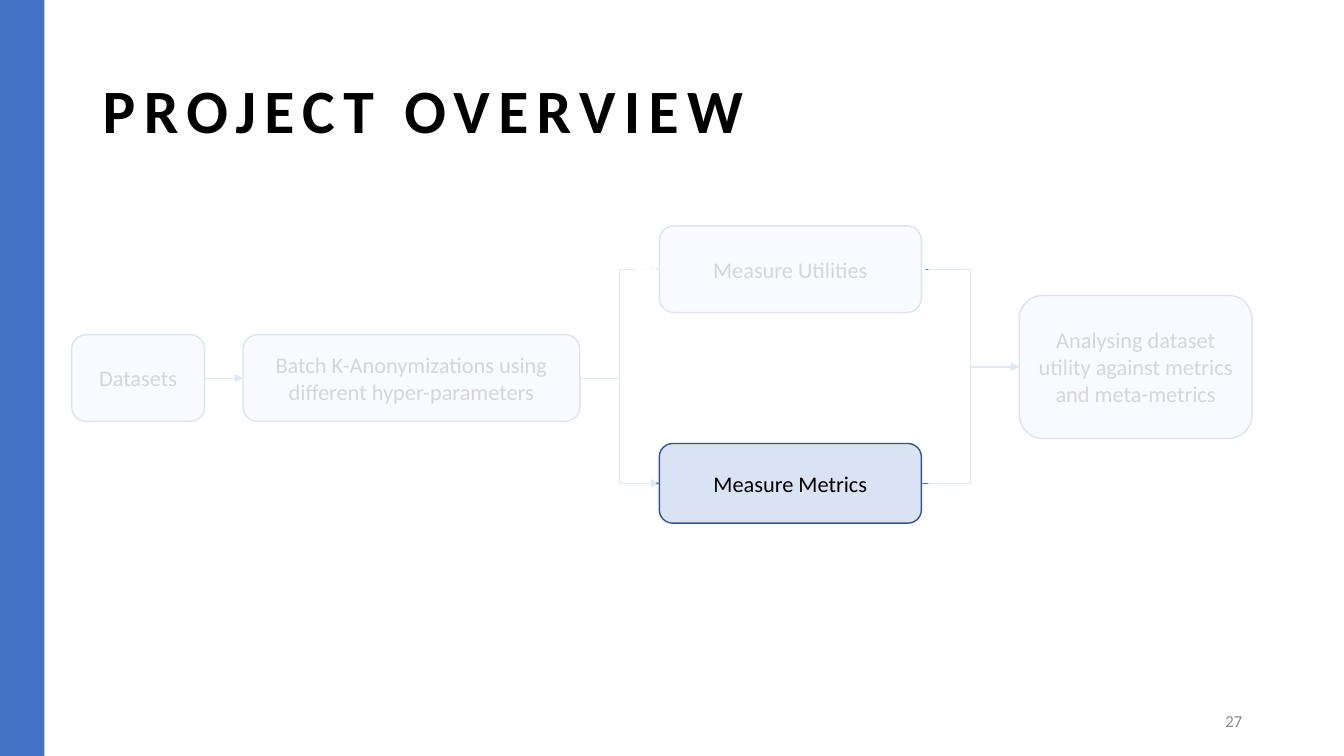
from lxml.etree import SubElement
from pptx import Presentation
from pptx.dml.color import RGBColor
from pptx.enum.shapes import MSO_CONNECTOR, MSO_SHAPE
from pptx.enum.text import MSO_ANCHOR, PP_ALIGN
from pptx.oxml.ns import qn
from pptx.util import Inches, Pt

BLUE = RGBColor(0x44, 0x72, 0xC4)
PALE_BLUE = RGBColor(0xDA, 0xE3, 0xF3)
DARK_BLUE = RGBColor(0x32, 0x54, 0x91)
GREY = RGBColor(0x8C, 0x8C, 0x8C)
BLACK = RGBColor(0, 0, 0)
WHITE = RGBColor(0xFF, 0xFF, 0xFF)

presentation = Presentation()
presentation.slide_width = Inches(13.33)
presentation.slide_height = Inches(7.5)
slide = presentation.slides.add_slide(presentation.slide_layouts[6])
shapes = slide.shapes


def place(left, top, width, height):
    """Turn percentages of the slide's size into lengths."""
    column = presentation.slide_width / 100
    row = presentation.slide_height / 100
    return int(left * column), int(top * row), int(width * column), int(height * row)


def write(shape, text, alignment, font_format):
    frame = shape.text_frame
    frame.word_wrap = True
    frame.vertical_anchor = MSO_ANCHOR.MIDDLE
    paragraph = frame.paragraphs[0]
    paragraph.alignment = alignment
    run = paragraph.add_run()
    run.text = text
    color = font_format["color"]
    for name, value in font_format.items():
        if name != "color":
            setattr(run.font, name, value)
    run.font.color.rgb = color
    return run


# Side bar
bar = shapes.add_shape(MSO_SHAPE.RECTANGLE, *place(0, 0, 3.3, 100))
bar.shadow.inherit = False
bar.fill.solid()
bar.fill.fore_color.rgb = BLUE
bar.line.fill.background()

# Title and slide number
title = shapes.add_textbox(*place(6.9, 5.33, 86.27, 19.33))
title_format = {"name": "Calibri", "size": Pt(44), "bold": True, "color": BLACK}
title_run = write(title, "PROJECT OVERVIEW", PP_ALIGN.LEFT, title_format)
title_run.font._element.set("spc", "600")
title.text_frame.paragraphs[0].line_spacing = 0.9

number = shapes.add_textbox(*place(70.67, 92.67, 22.5, 5.33))
number_format = {"name": "Calibri", "size": Pt(12), "color": GREY}
write(number, "27", PP_ALIGN.RIGHT, number_format)

# Process steps
steps = {
    "Datasets": (5.33, 44.27, 9.9, 11.47),
    "Batch K-Anonymizations using different hyper-parameters": (18.08, 44.27, 25.06, 11.47),
    "Measure Utilities": (49.06, 29.87, 19.5, 11.47),
    "Measure Metrics": (49.06, 58.67, 19.5, 10.53),
    "Analysing dataset utility against metrics and meta-metrics": (75.84, 39.07, 17.33, 18.93),
}
step_format = {"name": "Calibri", "size": Pt(16), "color": BLACK}
boxes = []
for text, area in steps.items():
    box = shapes.add_shape(MSO_SHAPE.ROUNDED_RECTANGLE, *place(*area))
    box.shadow.inherit = False
    box.fill.solid()
    box.fill.fore_color.rgb = PALE_BLUE
    box.line.color.rgb = DARK_BLUE
    box.line.width = Pt(1)
    box.text_frame.margin_left = box.text_frame.margin_right = Inches(0.05)
    write(box, text, PP_ALIGN.CENTER, step_format)
    boxes.append(box)
datasets, batch, utilities, metrics, analysis = boxes

# Arrows from the right side of one step to the left side of the next
RIGHT_SITE, LEFT_SITE = 3, 1
arrows = [
    (datasets, batch, MSO_CONNECTOR.STRAIGHT),
    (batch, utilities, MSO_CONNECTOR.ELBOW),
    (batch, metrics, MSO_CONNECTOR.ELBOW),
    (utilities, analysis, MSO_CONNECTOR.ELBOW),
    (metrics, analysis, MSO_CONNECTOR.ELBOW),
]
for start, end, kind in arrows:
    arrow = shapes.add_connector(
        kind,
        start.left + start.width, start.top + start.height // 2,
        end.left, end.top + end.height // 2,
    )
    arrow.begin_connect(start, RIGHT_SITE)
    arrow.end_connect(end, LEFT_SITE)
    arrow.line.color.rgb = BLUE
    arrow.line.width = Pt(0.5)
    SubElement(arrow.line._get_or_add_ln(), qn("a:tailEnd"), type="triangle")
    SubElement(arrow._element.spPr, qn("a:effectLst"))

# White veils that fade every step except the current one
veils = [
    (4.65, 24.27, 44.19, 58.4),
    (69.09, 23.07, 24.38, 58.4),
    (47.19, 23.07, 21.68, 31.33),
]
for area in veils:
    veil = shapes.add_shape(MSO_SHAPE.RECTANGLE, *place(*area))
    veil.shadow.inherit = False
    veil.fill.solid()
    veil.fill.fore_color.rgb = WHITE
    veil.line.color.rgb = WHITE
    veil.line.width = Pt(1)
    fill_color, line_color = veil._element.spPr.iter(qn("a:srgbClr"))
    SubElement(fill_color, qn("a:alpha"), val="84000")
    SubElement(line_color, qn("a:alpha"), val="32000")

presentation.save("out.pptx")
